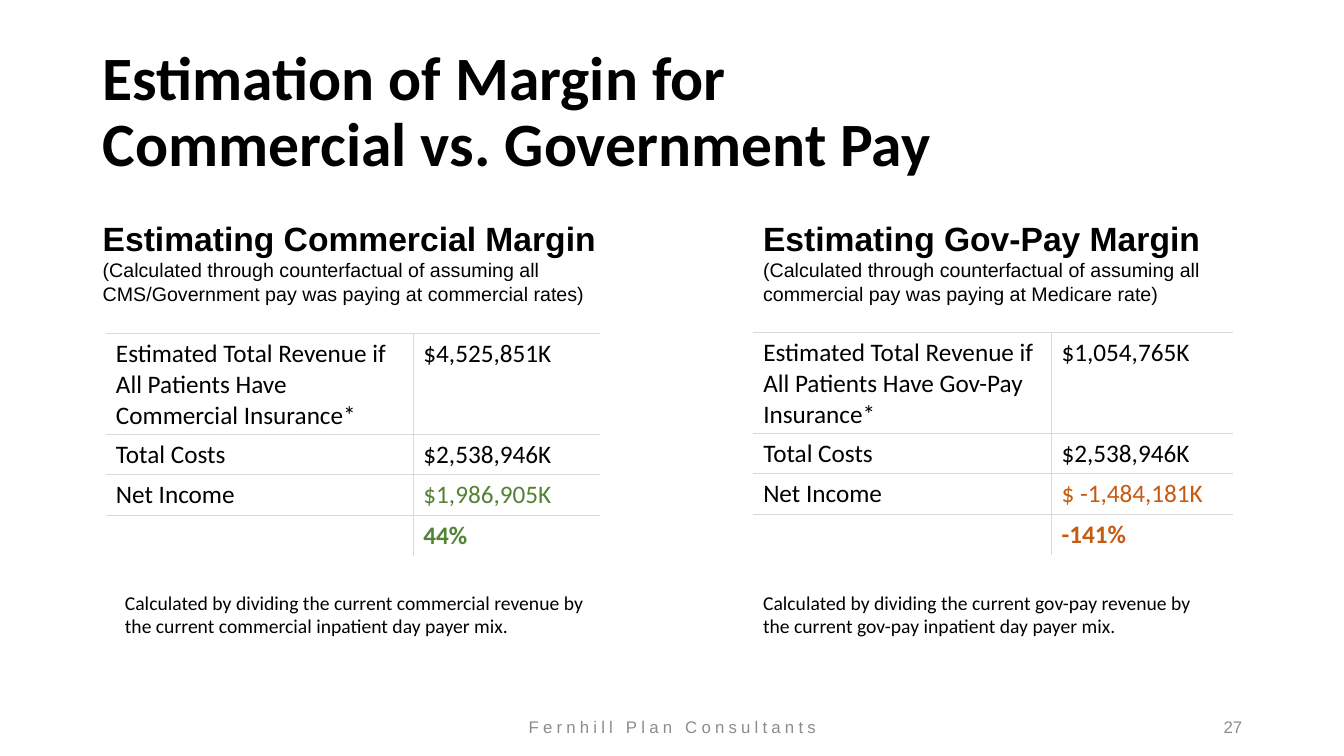
from lxml.etree import SubElement
from pptx import Presentation
from pptx.dml.color import RGBColor
from pptx.enum.text import MSO_ANCHOR, MSO_AUTO_SIZE, PP_ALIGN
from pptx.oxml.ns import qn
from pptx.util import Inches, Pt

COLORS = {"ink": "000000", "rule": "D9D9D9", "gray": "8C8C8C",
          "gain": "548235", "loss": "C55A11"}
TITLE = "Estimation of Margin for \vCommercial vs. Government Pay"
FOOTER = "Fernhill Plan Consultants"
PAGE = "27"
PANELS = [
    {
        "head": "Estimating Commercial Margin",
        "basis": "(Calculated through counterfactual of assuming all "
                 "CMS/Government pay was paying at commercial rates)",
        "rows": [
            ("Estimated Total Revenue if All Patients Have Commercial Insurance*", "$4,525,851K"),
            ("Total Costs", "$2,538,946K"),
            ("Net Income", "$1,986,905K"),
            ("", "44%"),
        ],
        "note": "Calculated by dividing the current commercial revenue by "
                "the current commercial inpatient day payer mix.",
        "tone": "gain",
        "head_at": (0.92, 5.19), "note_at": (1.14, 4.81),
        "table_at": (1.05, 3.31), "cols": (3.05, 1.85),
    },
    {
        "head": "Estimating Gov-Pay Margin",
        "basis": "(Calculated through counterfactual of assuming all "
                 "commercial pay was paying at Medicare rate)",
        "rows": [
            ("Estimated Total Revenue if All Patients Have Gov-Pay Insurance*", "$1,054,765K"),
            ("Total Costs", "$2,538,946K"),
            ("Net Income", "$ -1,484,181K"),
            ("", "-141%"),
        ],
        "note": "Calculated by dividing the current gov-pay revenue by "
                "the current gov-pay inpatient day payer mix.",
        "tone": "loss",
        "head_at": (7.47, 4.77), "note_at": (7.47, 4.5),
        "table_at": (7.47, 3.3), "cols": (2.96, 1.8),
    },
]
HEAD_TOP, HEAD_HIGH = 2.11, 0.98
NOTE_TOP, NOTE_HIGH = 5.81, 0.57
FOOT_TOP, FOOT_HIGH = 7.08, 0.27
ROWS = (1, 0.4, 0.4, 0.4)


def style(para, size, face, color="ink", bold=False, align=PP_ALIGN.LEFT):
    para.alignment = align
    font = para.font
    font.size, font.name, font.bold = Pt(size), face, bold
    font.color.rgb = RGBColor.from_string(COLORS[color])


def add_text(slide, box, lines, anchor=MSO_ANCHOR.TOP, fit=MSO_AUTO_SIZE.SHAPE_TO_FIT_TEXT):
    """Add a text box; each line is its text and the arguments of style."""
    frame = slide.shapes.add_textbox(*map(Inches, box)).text_frame
    frame.word_wrap, frame.auto_size = True, fit
    frame.vertical_anchor = anchor
    for i, (text, *look) in enumerate(lines):
        para = frame.add_paragraph() if i else frame.paragraphs[0]
        para.text = text
        style(para, *look)
    return frame


def set_edges(cell, shown):
    """Rule the sides named in shown and clear the others."""
    props = cell._tc.get_or_add_tcPr()
    for side in "LRTB":
        line = SubElement(props, qn(f"a:ln{side}"), w=str(Pt(1)))
        if side in shown:
            fill = SubElement(line, qn("a:solidFill"))
            SubElement(fill, qn("a:srgbClr"), val=COLORS["rule"])
        else:
            SubElement(line, qn("a:noFill"))


def add_grid(slide, panel):
    left, top = panel["table_at"]
    cols, rows = panel["cols"], panel["rows"]
    box = map(Inches, (left, top, sum(cols), sum(ROWS)))
    table = slide.shapes.add_table(len(rows), len(cols), *box).table
    table.first_row = table.horz_banding = False
    for col, wide in zip(table.columns, cols):
        col.width = Inches(wide)
    last = len(rows) - 1
    for r, row in enumerate(rows):
        table.rows[r].height = Inches(ROWS[r])
        for c, text in enumerate(row):
            cell = table.cell(r, c)
            set_edges(cell, "RL"[c] + ("T" if r == last else "TB"))
            cell.fill.background()
            cell.text = text
            tone = panel["tone"] if c and r >= last - 1 else "ink"
            style(cell.text_frame.paragraphs[0], 18, "Calibri", tone, bool(c) and r == last)


def add_panel(slide, panel):
    left, wide = panel["head_at"]
    add_text(slide, (left, HEAD_TOP, wide, HEAD_HIGH),
             [(panel["head"], 24, "Arial", "ink", True), (panel["basis"], 14, "Arial")])
    add_grid(slide, panel)
    left, wide = panel["note_at"]
    add_text(slide, (left, NOTE_TOP, wide, NOTE_HIGH), [(panel["note"], 14, "Calibri")])


def add_title(slide):
    title = slide.shapes.title
    title.left, title.top, title.width, title.height = map(Inches, (0.92, 0.4, 11.5, 1.45))
    frame = title.text_frame
    frame.text = TITLE
    frame.word_wrap, frame.auto_size = True, MSO_AUTO_SIZE.NONE
    frame.vertical_anchor = MSO_ANCHOR.MIDDLE
    para = frame.paragraphs[0]
    para.line_spacing = 0.9
    style(para, 44, "Calibri", bold=True)


def add_footer(slide):
    parts = [(FOOTER, 4.42, 4.5, PP_ALIGN.CENTER), (PAGE, 9.42, 3, PP_ALIGN.RIGHT)]
    for text, left, wide, align in parts:
        frame = add_text(slide, (left, FOOT_TOP, wide, FOOT_HIGH),
                         [(text, 12, "Arial", "gray", False, align)],
                         MSO_ANCHOR.MIDDLE, MSO_AUTO_SIZE.NONE)
        if text == FOOTER:
            frame.paragraphs[0].runs[0]._r.get_or_add_rPr().set("spc", "300")


def main():
    deck = Presentation()
    deck.slide_width, deck.slide_height = Inches(13.33), Inches(7.5)
    slide = deck.slides.add_slide(deck.slide_layouts[5])
    add_title(slide)
    add_footer(slide)
    for panel in PANELS:
        add_panel(slide, panel)
    deck.save("out.pptx")


if __name__ == "__main__":
    main()
